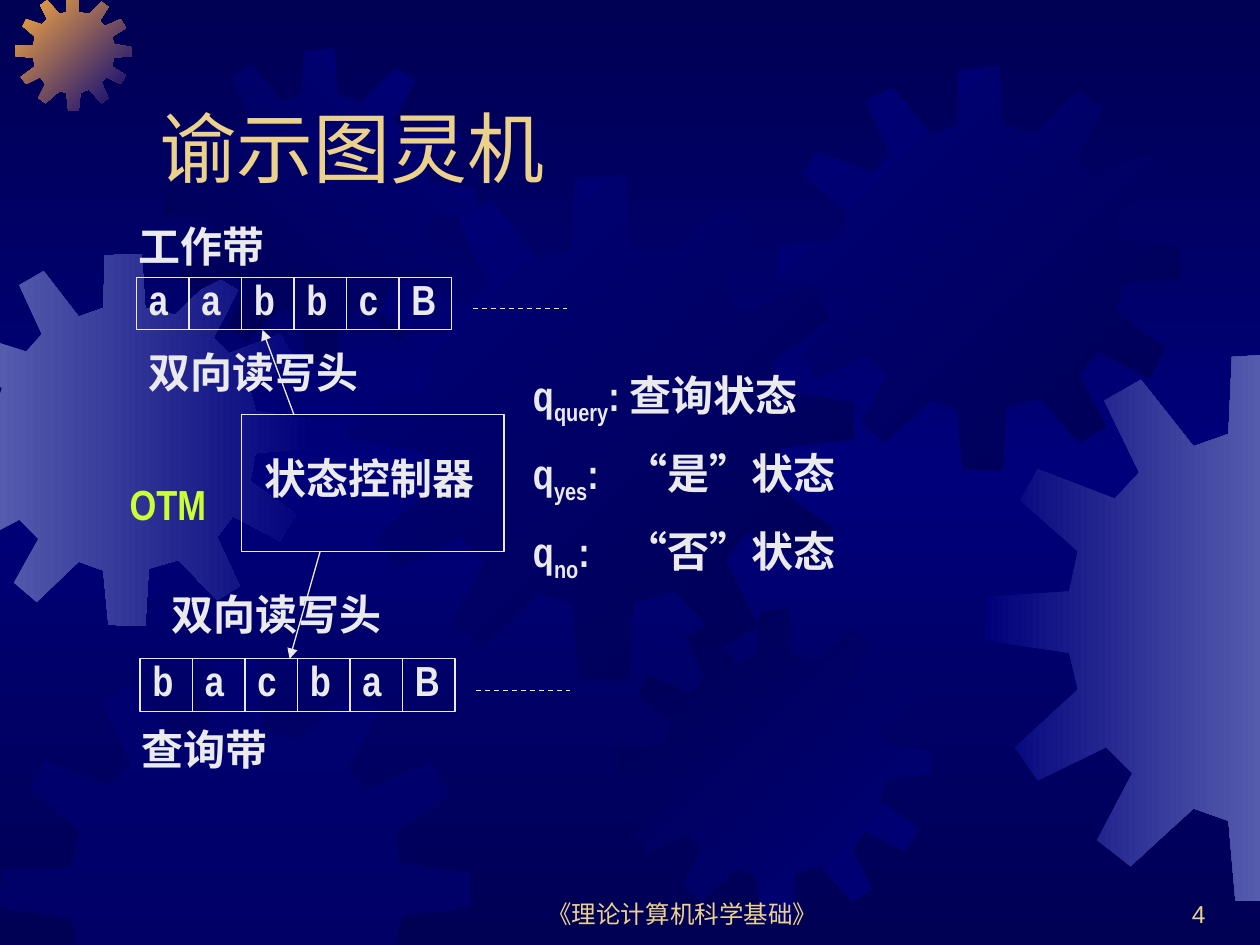
from copy import deepcopy

from lxml import etree
from pptx import Presentation
from pptx.dml.color import RGBColor
from pptx.enum.dml import MSO_LINE
from pptx.enum.shapes import MSO_CONNECTOR, MSO_SHAPE
from pptx.enum.text import MSO_ANCHOR, PP_ALIGN
from pptx.oxml.ns import qn
from pptx.util import Pt

RECTANGLE = MSO_SHAPE.RECTANGLE
STRAIGHT = MSO_CONNECTOR.STRAIGHT
DASH = MSO_LINE.DASH
TOP, MIDDLE, BOTTOM = MSO_ANCHOR.TOP, MSO_ANCHOR.MIDDLE, MSO_ANCHOR.BOTTOM
LEFT, CENTER, RIGHT = PP_ALIGN.LEFT, PP_ALIGN.CENTER, PP_ALIGN.RIGHT

WIDTH, HEIGHT = 720, 540
NAVY, BLUE, HAZE, ORANGE = "000054", "00007A", "555BAD", "FCAB40"
WHITE, GOLD, LIME = "EAEAEA", "EBD189", "CCFF33"
CELL = 30

GEAR_OUTLINE = [
    (63.6, 16.7), (55.6, 14.7), (54.6, 0), (44.9, 0.7), (44.1, 14.7), (37.7, 16.9),
    (28.2, 5), (21.7, 8.7), (27.9, 21.9), (23.4, 26.4), (9.5, 21.2), (6.2, 26.7),
    (17, 36.1), (15.2, 43.3), (0.2, 44.3), (0, 52.3), (15.2, 54.5), (16.7, 61.3),
    (5.5, 71.5), (9.5, 77.7), (21.9, 71.7), (26.7, 76.5), (20.2, 88.4), (26.4, 93.4),
    (37.7, 82.7), (44.1, 84.9), (45.6, 99.6), (55.4, 100), (56.4, 84.4), (64.6, 82.2),
    (74.6, 93.2), (81, 89.2), (74.6, 76.2), (78.8, 70.7), (91.8, 77), (95.8, 70),
    (83.8, 61.3), (85.3, 53.8), (100, 52.3), (99.8, 44.8), (85, 42.6), (83.5, 36.9),
    (95.5, 28.4), (91.5, 21.7), (78.1, 27.1), (73.8, 22.7), (80.5, 10.2), (74.1, 6.2),
]

GEARS = [
    (-35.3, 144.7, 213.1, (HAZE, BLUE), 0),
    (8.6, -3, 66.2, (ORANGE, BLUE), 45),
    (93.6, 28.1, 178.6, (NAVY, BLUE), 315),
    (199.4, 100.1, 289, (BLUE, NAVY), 45),
    (0, 378, 269.3, (BLUE,), 0),
    (353.5, 348.5, 178.6, (NAVY, BLUE), 45),
    (445, 38.2, 230.4, (BLUE, NAVY), 45),
    (563, 201.6, 314.6, (BLUE, HAZE), 0),
]


def color(value):
    """Return a colour from a hex string."""
    return RGBColor.from_string(value)


def set_gradient(fill, colors, clockwise):
    """Fill with evenly spaced gradient colours."""
    fill.gradient_angle = -clockwise % 360
    for index, (stop, value) in enumerate(zip(fill.gradient_stops, colors)):
        stop.color.rgb = color(value)
        stop.position = index / (len(colors) - 1)


def set_background(slide):
    """Shade the slide from navy to blue and back."""
    fill = slide.background.fill
    fill.gradient()
    stops = next(slide.element.iter(qn("a:gsLst")))
    stops.append(deepcopy(stops[-1]))
    set_gradient(fill, (NAVY, BLUE, NAVY), 90)


def clip(points, axis, limit, sign):
    """Cut a polygon at one edge of the slide."""
    kept = []
    for start, end in zip(points[-1:] + points[:-1], points):
        before, after = sign * (limit - start[axis]), sign * (limit - end[axis])
        if before * after < 0:
            share = before / (before - after)
            kept.append(tuple(a + share * (b - a) for a, b in zip(start, end)))
        if after >= 0:
            kept.append(end)
    return kept


def add_gear(slide, left, top, size, colors, clockwise):
    """Draw a gear trimmed to the slide."""
    points = [(left + x * size / 100, top + y * size / 100) for x, y in GEAR_OUTLINE]
    for axis, limit, sign in ((0, 0, -1), (0, WIDTH, 1), (1, 0, -1), (1, HEIGHT, 1)):
        points = clip(points, axis, limit, sign)
    builder = slide.shapes.build_freeform(*points[0], scale=Pt(1))
    builder.add_line_segments(points[1:], close=True)
    gear = builder.convert_to_shape()
    gear.shadow.inherit = False
    gear.line.fill.background()
    if len(colors) > 1:
        gear.fill.gradient()
        set_gradient(gear.fill, colors, clockwise)
    else:
        gear.fill.solid()
        gear.fill.fore_color.rgb = color(colors[0])
        shade = next(gear.element.spPr.iter(qn("a:srgbClr")))
        etree.SubElement(shade, qn("a:alpha"), val="50000")


def format_run(run, size, value, font, bold):
    """Set the font of a run."""
    run.font.size = Pt(size)
    run.font.name = font
    run.font.bold = bold
    run.font.color.rgb = color(value)


def add_text(slide, text, left, top, width, height=36, size=24, value=WHITE,
             font="Arial Narrow", bold=True, anchor=TOP, align=LEFT):
    """Add a line of text in a box."""
    box = slide.shapes.add_textbox(Pt(left), Pt(top), Pt(width), Pt(height))
    frame = box.text_frame
    frame.word_wrap = True
    frame.vertical_anchor = anchor
    frame.text = text
    paragraph = frame.paragraphs[0]
    paragraph.alignment = align
    format_run(paragraph.runs[0], size, value, font, bold)


def add_box(slide, left, top, width, height, text, indent=7.2):
    """Add an outlined box with its text."""
    box = slide.shapes.add_shape(RECTANGLE, Pt(left), Pt(top), Pt(width), Pt(height))
    box.shadow.inherit = False
    box.fill.background()
    box.line.color.rgb = color(WHITE)
    box.line.width = Pt(0.75)
    frame = box.text_frame
    frame.vertical_anchor = MIDDLE
    frame.margin_top, frame.margin_bottom = Pt(0), Pt(6)
    frame.margin_left, frame.margin_right = Pt(indent), Pt(0)
    frame.text = text
    paragraph = frame.paragraphs[0]
    paragraph.alignment = LEFT
    format_run(paragraph.runs[0], 24, WHITE, "Arial Narrow", True)


def add_line(slide, start, end, arrow=False):
    """Add an arrow or a dashed line."""
    x1, y1, x2, y2 = (Pt(length) for length in (*start, *end))
    line = slide.shapes.add_connector(STRAIGHT, x1, y1, x2, y2)
    line.line.color.rgb = color(WHITE)
    line.line.width = Pt(0.75)
    properties = line.element.spPr
    if arrow:
        etree.SubElement(properties.find(qn("a:ln")), qn("a:tailEnd"), type="triangle")
    else:
        line.line.dash_style = DASH
    etree.SubElement(properties, qn("a:effectLst"))


def add_tape(slide, symbols, left, top):
    """Add a tape of cells that runs on as a dashed line."""
    for index, symbol in enumerate(symbols):
        add_box(slide, left + index * CELL, top, CELL, CELL, symbol)
    end = left + len(symbols) * CELL + 12
    add_line(slide, (end, top + 18), (end + 54, top + 18))


def add_states(slide, states, left, top, width, height):
    """List the states with subscripts and their meanings."""
    box = slide.shapes.add_textbox(Pt(left), Pt(top), Pt(width), Pt(height))
    frame = box.text_frame
    frame.word_wrap = True
    for index, (name, meaning) in enumerate(states):
        paragraph = frame.add_paragraph() if index else frame.paragraphs[0]
        paragraph.space_before = Pt(12 if index else 0)
        tabs = etree.SubElement(paragraph._p.get_or_add_pPr(), qn("a:tabLst"))
        etree.SubElement(tabs, qn("a:tab"), pos=str(Pt(53)), algn="l")
        for text in ("q", name, meaning):
            run = paragraph.add_run()
            run.text = text
            format_run(run, 24, WHITE, "Arial Narrow", True)
        paragraph.runs[1].font._element.set("baseline", "-25000")


def main():
    """Build the oracle Turing machine slide."""
    presentation = Presentation()
    presentation.slide_width, presentation.slide_height = Pt(WIDTH), Pt(HEIGHT)
    slide = presentation.slides.add_slide(presentation.slide_layouts[6])
    set_background(slide)
    for gear in GEARS:
        add_gear(slide, *gear)

    plain = {"value": GOLD, "font": "Arial", "bold": False, "anchor": BOTTOM}
    add_text(slide, "《理论计算机科学基础》", 276, 498, 228, size=14, align=CENTER, **plain)
    add_text(slide, "4", 546, 498, 150, size=14, align=RIGHT, **plain)
    add_text(slide, "谕示图灵机", 84, 24, 612, 90, size=44, **plain)

    add_box(slide, 138, 237, 150, 78, "状态控制器", indent=13.2)
    add_tape(slide, "aabbcB", 78, 158.5)
    add_tape(slide, "bacbaB", 80, 376.5)
    add_line(slide, (168, 237), (150, 188.5), arrow=True)
    add_line(slide, (183, 315), (165.5, 376.5), arrow=True)

    add_text(slide, "工作带", 72, 122.5, 102)
    add_text(slide, "双向读写头", 78, 194.5, 150)
    add_text(slide, "OTM", 67, 270, 66, value=LIME)
    add_text(slide, "双向读写头", 91, 332.5, 150)
    add_text(slide, "查询带", 74, 410, 96)
    states = [("query", ": 查询状态"), ("yes", ":\t“是”状态"), ("no", ":\t“否”状态")]
    add_states(slide, states, 297.5, 207.5, 200, 124)
    presentation.save("out.pptx")


main()
